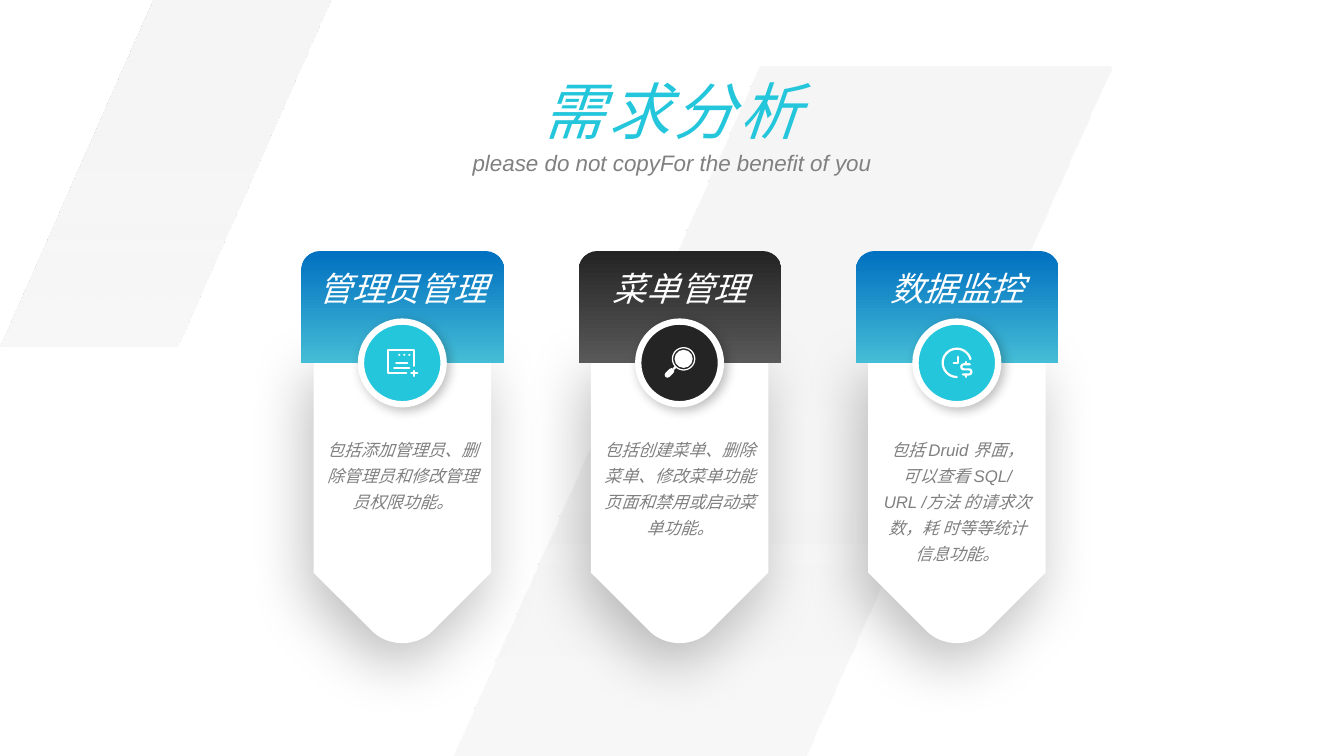
import math

import lxml.etree
import pptx
import pptx.dml.color
import pptx.enum.shapes
import pptx.enum.text
import pptx.oxml.ns
import pptx.util

Inches = pptx.util.Inches
Pt = pptx.util.Pt
qn = pptx.oxml.ns.qn
KIND = pptx.enum.shapes.MSO_SHAPE
HUES = {"white": "FFFFFF", "band": "F5F5F5", "blue": "0070C0", "sky": "45BDD6",
        "dark": "242424", "ash": "595959", "cyan": "24C6DB", "grey": "808080",
        "black": "000000"}
SANS, HAN = "Arial", "Noto Sans CJK SC"
CARDS = [
    ("管理员管理", "包括添加管理员、删除管理员和修改管理员权限功能。",
     ("blue", "sky"), "cyan"),
    ("菜单管理", "包括创建菜单、删除菜单、修改菜单功能页面和禁用或启动菜 单功能。",
     ("dark", "ash"), "dark"),
    ("数据监控", "包括 Druid 界面， 可以查看 SQL/ URL /方法 的请求次数，耗 时等等统计信息功能。",
     ("blue", "sky"), "cyan"),
]


def tint(name):
    """Return the named colour."""
    return pptx.dml.color.RGBColor.from_string(HUES[name])


def outline(slide, points, close=True):
    """Draw a path through points given in inches."""
    spots = [(Inches(x), Inches(y)) for x, y in points]
    path = slide.shapes.build_freeform(*spots[0])
    path.add_line_segments(spots[1:], close=close)
    shape = path.convert_to_shape()
    shape.shadow.inherit = False
    return shape


def paint(shape, name):
    """Give a shape a plain fill and no line."""
    shape.fill.solid()
    shape.fill.fore_color.rgb = tint(name)
    shape.line.fill.background()


def blend(shape, names, start=0, alpha=None):
    """Fill a shape with a downward gradient."""
    shape.fill.gradient()
    shape.fill.gradient_angle = 270
    stops = shape.fill.gradient_stops
    for stop, name, place in zip(stops, names, (start, 1)):
        stop.color.rgb = tint(name)
        stop.position = place
    if alpha:
        last = list(shape._element.iter(qn("a:srgbClr")))[-1]
        lxml.etree.SubElement(last, qn("a:alpha"), val=str(alpha * 1000))
    shape.line.fill.background()


def shade(shape, blur, dist, angle):
    """Add a soft outer shadow."""
    glow = shape._element.spPr.find(qn("a:effectLst"))
    cast = lxml.etree.SubElement(
        glow, qn("a:outerShdw"), blurRad=str(Pt(blur)), dist=str(Pt(dist)),
        dir=str(angle * 60000), algn="ctr", rotWithShape="0")
    hue = lxml.etree.SubElement(cast, qn("a:srgbClr"), val=HUES["black"])
    lxml.etree.SubElement(hue, qn("a:alpha"), val="26000")


def disc(slide, x, y, size):
    """Add a circle around a centre."""
    shape = slide.shapes.add_shape(
        KIND.OVAL, Inches(x - size / 2), Inches(y - size / 2), Inches(size), Inches(size))
    shape.shadow.inherit = False
    return shape


def write(shape, text, size, name, face=SANS, wrap=True, gap=1, track=0):
    """Set centred italic text."""
    frame = shape.text_frame
    frame.word_wrap = wrap
    frame.auto_size = pptx.enum.text.MSO_AUTO_SIZE.NONE
    frame.vertical_anchor = pptx.enum.text.MSO_ANCHOR.TOP
    frame.text = text
    para = frame.paragraphs[0]
    para.alignment = pptx.enum.text.PP_ALIGN.CENTER
    para.line_spacing = float(gap)
    font = para.font
    font.size, font.name, font.italic = Pt(size), face, True
    font.color.rgb = tint(name)
    props = para._p.pPr.find(qn("a:defRPr"))
    lxml.etree.SubElement(props, qn("a:ea"), typeface=HAN)
    if track:
        props.set("spc", str(track * 100))


def label(slide, box, *args, **style):
    """Add a text box."""
    write(slide.shapes.add_textbox(*map(Inches, box)), *args, **style)


def stroke(slide, x, y, points, width=1.6):
    """Draw a white round-ended line around a centre."""
    shape = outline(slide, [(x + dx, y + dy) for dx, dy in points], False)
    shape.fill.background()
    shape.line.color.rgb = tint("white")
    shape.line.width = Pt(width)
    line = shape.line._ln
    line.set("cap", "rnd")
    lxml.etree.SubElement(line, qn("a:round"))


def arc(x, y, size, start, end, count=24):
    """List points along an arc."""
    turns = [math.radians(start + (end - start) * i / count) for i in range(count + 1)]
    return [(x + size * math.cos(t), y + size * math.sin(t)) for t in turns]


def form(slide, x, y):
    """Draw the form icon."""
    for points in ([(0.04, 0.1), (-0.14, 0.1), (-0.14, -0.13), (0.12, -0.13), (0.12, 0.03)],
                   [(-0.08, 0.05), (0.07, 0.05)], [(-0.06, 0), (0.05, 0)],
                   [(0.09, 0.1), (0.15, 0.1)], [(0.12, 0.08), (0.12, 0.13)]):
        stroke(slide, x, y, points)
    for step in range(3):
        paint(disc(slide, x - 0.03 + 0.05 * step, y - 0.08, 0.02), "white")


def lens(slide, x, y):
    """Draw the search icon."""
    paint(disc(slide, x + 0.04, y - 0.04, 0.18), "white")
    stroke(slide, x, y, arc(0.04, -0.04, 0.11, 0, 360, 48), 0.9)
    stroke(slide, x, y, [(-0.06, 0.06), (-0.04, 0.04)])
    stroke(slide, x, y, [(-0.12, 0.12), (-0.08, 0.08)], 4)


def clock(slide, x, y):
    """Draw the clock and money icon."""
    bend = arc(0.07, 0.04, 0.025, 270, 90, 12) + arc(0.12, 0.09, 0.025, -90, 90, 12)
    for points in (arc(0, 0, 0.14, 90, 345, 48), [(0.01, -0.06), (0.01, 0), (-0.03, 0)],
                   [(0.13, 0.015)] + bend + [(0.06, 0.115)],
                   [(0.095, -0.01), (0.095, 0.015)], [(0.095, 0.115), (0.095, 0.14)]):
        stroke(slide, x, y, points)


def band(slide, left, top, width, height, slant):
    """Draw a pale slanted band."""
    right, base = left + width, top + height
    shape = outline(slide, [(left + slant, top), (right, top), (right - slant, base), (left, base)])
    blend(shape, ("band", "band"), 0.09, 76)


def panel(slide, x, y):
    """Draw the pointed panel, turned by 45 degrees about its centre."""
    half, rise = 0.88, 1.08
    tip = []
    for step in range(17):
        t = step / 16
        tip.append((0.3 * (1 - t) ** 3 + 0.42 * t * (1 - t) ** 2
                    - 0.42 * t * t * (1 - t) - 0.3 * t ** 3,
                    1.66 + 0.48 * t * (1 - t)))
    edge = [(-half, -rise), (half, -rise), (half, rise)] + tip + [(-half, rise)]
    turn = math.sqrt(0.5)
    shape = outline(slide, [(x + (dx + dy) * turn, y + (dy - dx) * turn) for dx, dy in edge])
    shape.rotation = 45
    paint(shape, "white")
    shade(shape, 43, 15, 110)


def card(slide, left, top, icon, head, body, pair, hue):
    """Draw one card with its head, badge and text."""
    mid, width = left + 1, 2.01
    panel(slide, mid, top + 2.11)
    cap = slide.shapes.add_shape(KIND.ROUND_2_SAME_RECTANGLE, *map(Inches, (left, top, width, 1.11)))
    cap.shadow.inherit = False
    blend(cap, pair)
    badge = disc(slide, mid, top + 1.11, 0.82)
    paint(badge, hue)
    badge.line.color.rgb = tint("white")
    badge.line.width = Pt(4.5)
    shade(badge, 8, 3, 45)
    icon(slide, mid, top + 1.11)
    label(slide, (left + 0.07, top + 0.12, 1.87, 0.5), head, 24, "white", face=HAN, wrap=False)
    label(slide, (left + 0.15, top + 1.76, 1.71, 1.41), body, 12, "grey", gap=1.3)


def header(slide, left, top, width):
    """Place the title and the line below it."""
    title = slide.shapes.title
    title.left, title.top, title.width, title.height = map(
        Inches, (left + 1.25, top - 0.01, width - 2.5, 0.84))
    write(title, "需求分析", 44, "cyan", face=HAN, wrap=False, track=3)
    title._element.getparent().append(title._element)
    label(slide, (left, top + 0.67, width, 0.41),
          "please do not copyFor the benefit of you", 16, "grey", gap=1.3)


def main():
    """Build and save the slide."""
    deck = pptx.Presentation()
    deck.slide_width, deck.slide_height = Inches(13.33), Inches(7.5)
    slide = deck.slides.add_slide(deck.slide_layouts[5])
    band(slide, 4.5, 0.66, 6.52, 6.84, 3.03)
    band(slide, 0, 0, 3.28, 3.44, 1.52)
    for spot, (icon, parts) in enumerate(zip((form, lens, clock), CARDS)):
        card(slide, 2.99 + 2.75 * spot, 2.49, icon, *parts)
    header(slide, 4.01, 0.68, 5.31)
    deck.save("out.pptx")


if __name__ == "__main__":
    main()
